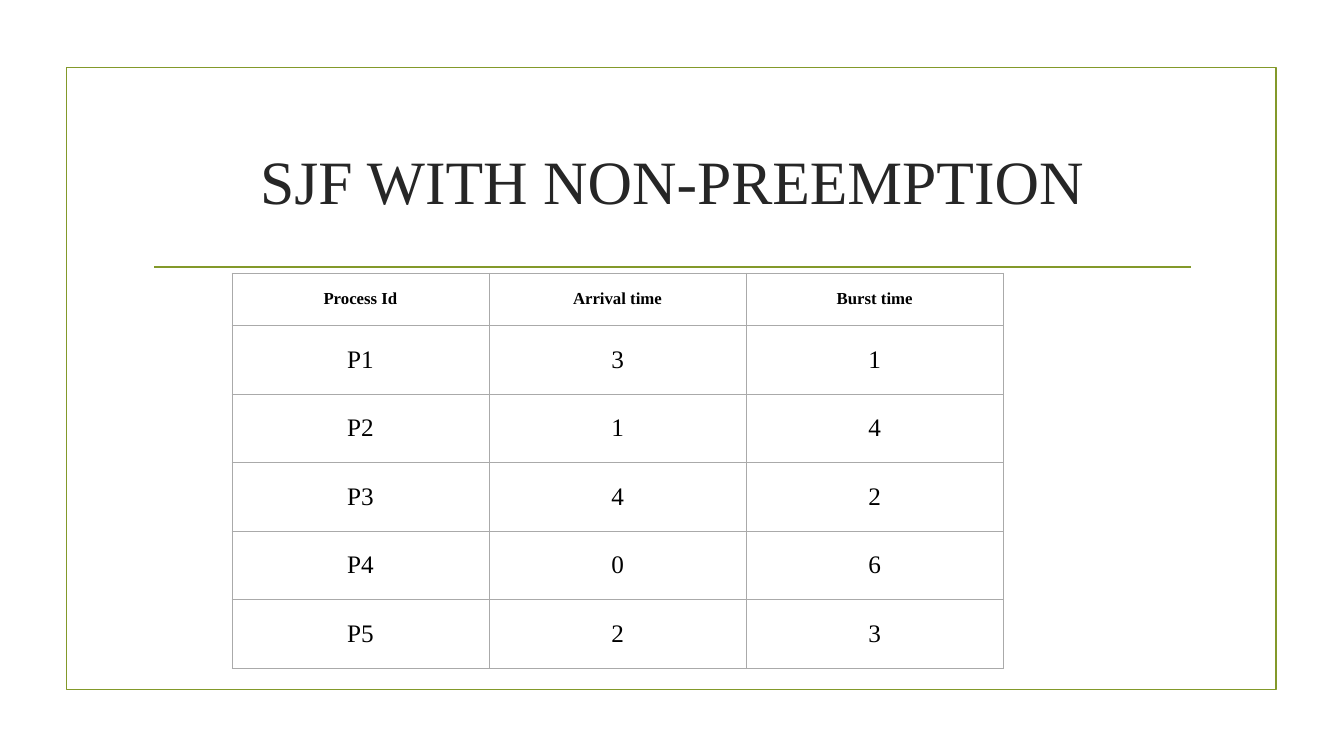
"""Build the slide on shortest job first scheduling without preemption."""
from lxml.etree import SubElement
from pptx import Presentation
from pptx.dml.color import RGBColor as RGB
from pptx.enum.shapes import MSO_CONNECTOR as LINK, MSO_SHAPE as SHAPE
from pptx.enum.text import MSO_ANCHOR as ANCHOR, PP_ALIGN as ALIGN
from pptx.oxml.ns import qn
from pptx.util import Inches, Pt

TITLE = "SJF WITH NON-PREEMPTION"
ROWS = [
    ("Process Id", "Arrival time", "Burst time"),
    ("P1", "3", "1"),
    ("P2", "1", "4"),
    ("P3", "4", "2"),
    ("P4", "0", "6"),
    ("P5", "2", "3"),
]
COLORS = {"green": "83992A", "title": "262626", "text": "000000",
          "cell": "FFFFFF", "grid": "AAAAAA"}
FONT = "Times New Roman"
COL_W, HEAD_H, ROW_H = 2.55, 0.52, 0.68


def color(name):
    return RGB.from_string(COLORS[name])


def write(frame, text, size, tone, bold=False):
    para = frame.paragraphs[0]
    para.alignment = ALIGN.CENTER
    run = para.add_run()
    run.text = text
    font = run.font
    font.name, font.size, font.bold = FONT, Pt(size), bold
    font.color.rgb = color(tone)


def border(cell):
    props = cell._tc.get_or_add_tcPr()
    for side in ("lnL", "lnR", "lnT", "lnB"):
        line = SubElement(props, qn("a:" + side), w=str(Pt(0.5)))
        fill = SubElement(line, qn("a:solidFill"))
        SubElement(fill, qn("a:srgbClr"), val=COLORS["grid"])


def add_frame(slide):
    frame = slide.shapes.add_shape(
        SHAPE.RECTANGLE, Inches(0.66), Inches(0.67), Inches(12), Inches(6.17))
    frame.shadow.inherit = False
    frame.fill.background()
    rule = slide.shapes.add_connector(
        LINK.STRAIGHT, Inches(1.53), Inches(2.65), Inches(11.81), Inches(2.65))
    SubElement(rule._element.spPr, qn("a:effectLst"))
    for item in (frame, rule):
        item.line.color.rgb = color("green")
        item.line.width = Pt(1.25)


def add_title(slide):
    box = slide.shapes.add_textbox(
        Inches(1.42), Inches(1.07), Inches(10.5), Inches(1.43))
    frame = box.text_frame
    frame.word_wrap = True
    frame.vertical_anchor = ANCHOR.MIDDLE
    write(frame, TITLE, 44, "title")


def add_grid(slide):
    count, width = len(ROWS), len(ROWS[0])
    high = HEAD_H + ROW_H * (count - 1)
    table = slide.shapes.add_table(
        count, width, Inches(2.3), Inches(2.71),
        Inches(COL_W * width), Inches(high)).table
    for col in table.columns:
        col.width = Inches(COL_W)
    for r, row in enumerate(ROWS):
        head = r == 0
        table.rows[r].height = Inches(HEAD_H if head else ROW_H)
        for c, text in enumerate(row):
            cell = table.cell(r, c)
            cell.vertical_anchor = ANCHOR.MIDDLE
            cell.margin_left = cell.margin_right = Inches(0.07)
            cell.margin_top = cell.margin_bottom = Inches(0.06)
            border(cell)
            cell.fill.solid()
            cell.fill.fore_color.rgb = color("cell")
            write(cell.text_frame, text, 12 if head else 18, "text", head)


def main():
    deck = Presentation()
    deck.slide_width, deck.slide_height = Inches(13.33), Inches(7.5)
    slide = deck.slides.add_slide(deck.slide_layouts[6])
    add_frame(slide)
    add_title(slide)
    add_grid(slide)
    deck.save("out.pptx")


if __name__ == "__main__":
    main()
